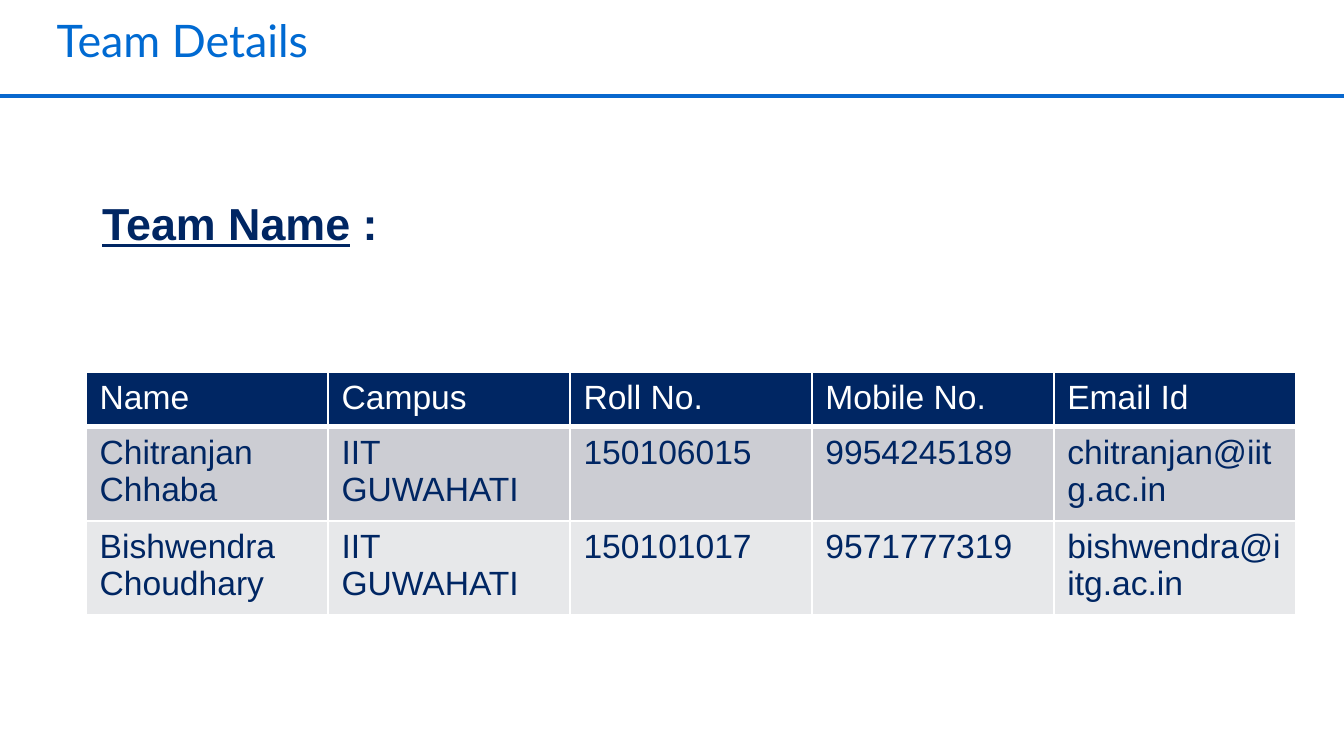
from lxml.etree import SubElement
from pptx import Presentation
from pptx.dml.color import RGBColor
from pptx.enum.shapes import MSO_CONNECTOR
from pptx.oxml.ns import qn
from pptx.util import Cm, Pt

NAVY = RGBColor(0x00, 0x26, 0x63)
BLUE = RGBColor(0x00, 0x6A, 0xD2)
RULE = RGBColor(0x09, 0x68, 0xCE)
GREY = RGBColor(0xCC, 0xCD, 0xD3)
PALE = RGBColor(0xE7, 0xE8, 0xEA)
WHITE = RGBColor(0xFF, 0xFF, 0xFF)

WIDTH, HEIGHT = 25.4, 14.29
TEAM = [
    ["Name", "Campus", "Roll No.", "Mobile No.", "Email Id"],
    ["Chitranjan Chhaba", "IIT GUWAHATI", "150106015", "9954245189", "chitranjan@iitg.ac.in"],
    ["Bishwendra Choudhary", "IIT GUWAHATI", "150101017", "9571777319", "bishwendra@iitg.ac.in"],
]


class Deck:
    """Holds the style and the current slide, and draws each kind of element."""

    def __init__(self):
        self.file = Presentation()
        self.file.slide_width, self.file.slide_height = Cm(WIDTH), Cm(HEIGHT)
        self.slide = self.file.slides.add_slide(self.file.slide_layouts[6])

    def style(self, para, size, color, face="Arial"):
        font = para.font
        font.name, font.size, font.color.rgb = face, Pt(size), color

    def text(self, x, y, w, h, words, color, face="Arial", inset=True):
        frame = self.slide.shapes.add_textbox(Cm(x), Cm(y), Cm(w), Cm(h)).text_frame
        frame.word_wrap = True
        if not inset:
            frame.margin_left = frame.margin_right = 0
            frame.margin_top = frame.margin_bottom = 0
        para = frame.paragraphs[0]
        for word in words:
            para.add_run().text = word
        self.style(para, 24, color, face)
        return para

    def line(self, y, color, width):
        line = self.slide.shapes.add_connector(
            MSO_CONNECTOR.STRAIGHT, 0, Cm(y), Cm(WIDTH), Cm(y))
        line.line.color.rgb, line.line.width = color, Pt(width)
        SubElement(line._element.spPr, qn("a:effectLst"))

    def border(self, cell, base):
        props = cell._tc.get_or_add_tcPr()
        sides = {"lnL": 1, "lnR": 1, "lnT": 1, "lnB": base}
        for spot, (side, width) in enumerate(sides.items()):
            edge = SubElement(props, qn(f"a:{side}"), w=str(Pt(width)))
            fill = SubElement(edge, qn("a:solidFill"))
            SubElement(fill, qn("a:srgbClr"), val=str(WHITE))
            props.insert(spot, edge)

    def table(self, x, y, w, row, data, fills):
        grid = self.slide.shapes.add_table(
            len(data), len(data[0]), Cm(x), Cm(y), Cm(w), Cm(row * len(data))).table
        for r, (words, fill) in enumerate(zip(data, fills)):
            for c, word in enumerate(words):
                cell = grid.cell(r, c)
                cell.text = word
                cell.fill.solid()
                cell.fill.fore_color.rgb = fill
                self.style(cell.text_frame.paragraphs[0], 18, NAVY if r else WHITE)
                self.border(cell, 1 if r else 3)


def main():
    deck = Deck()
    title = deck.text(1.07, 0.43, 22.86, 2.08, ["Team Details"], BLUE, "Lato", inset=False)
    title.line_spacing = 0.82
    deck.line(1.82, RULE, 2)
    deck.table(1.63, 7.04, 22.86, 1.03, TEAM, [NAVY, GREY, PALE])
    label = deck.text(1.68, 3.58, 10.03, 1.28, ["Team Name", " :"], NAVY)
    label.font.bold = True
    label.runs[0].font.underline = True
    deck.file.save("out.pptx")


if __name__ == "__main__":
    main()
